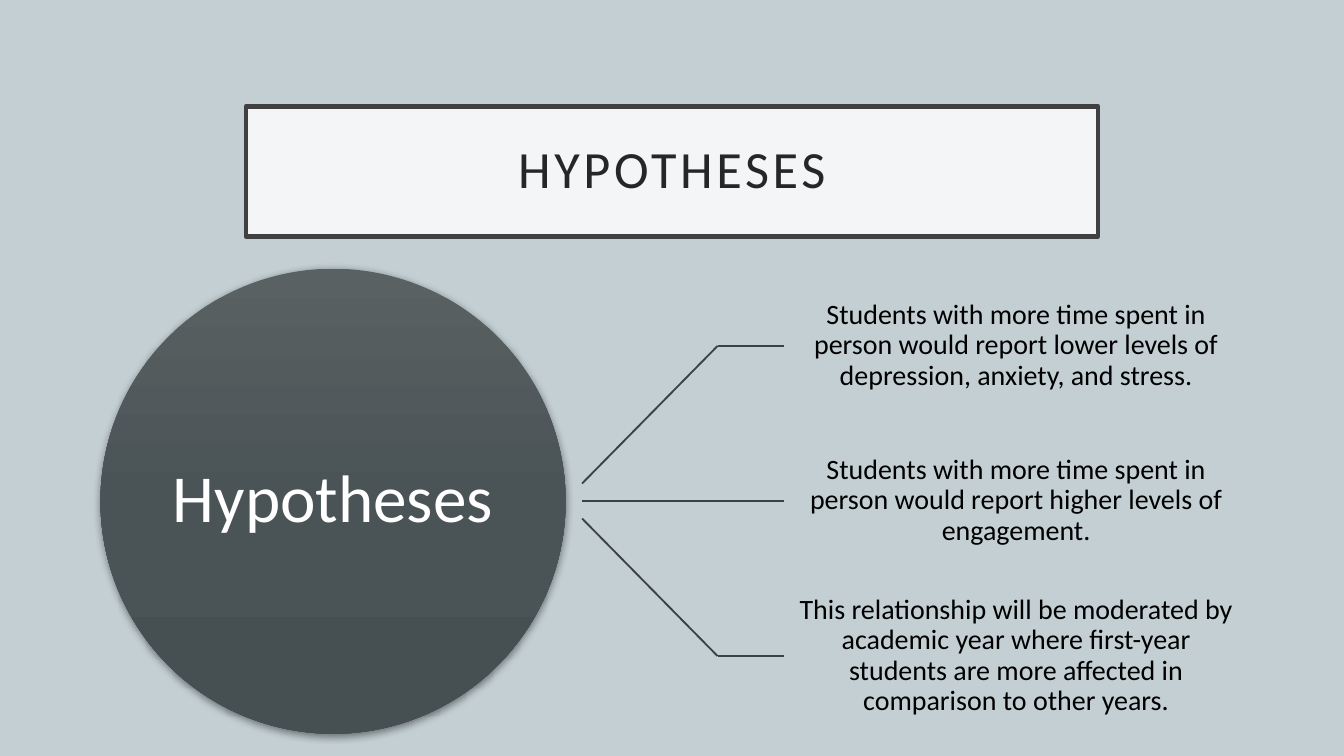
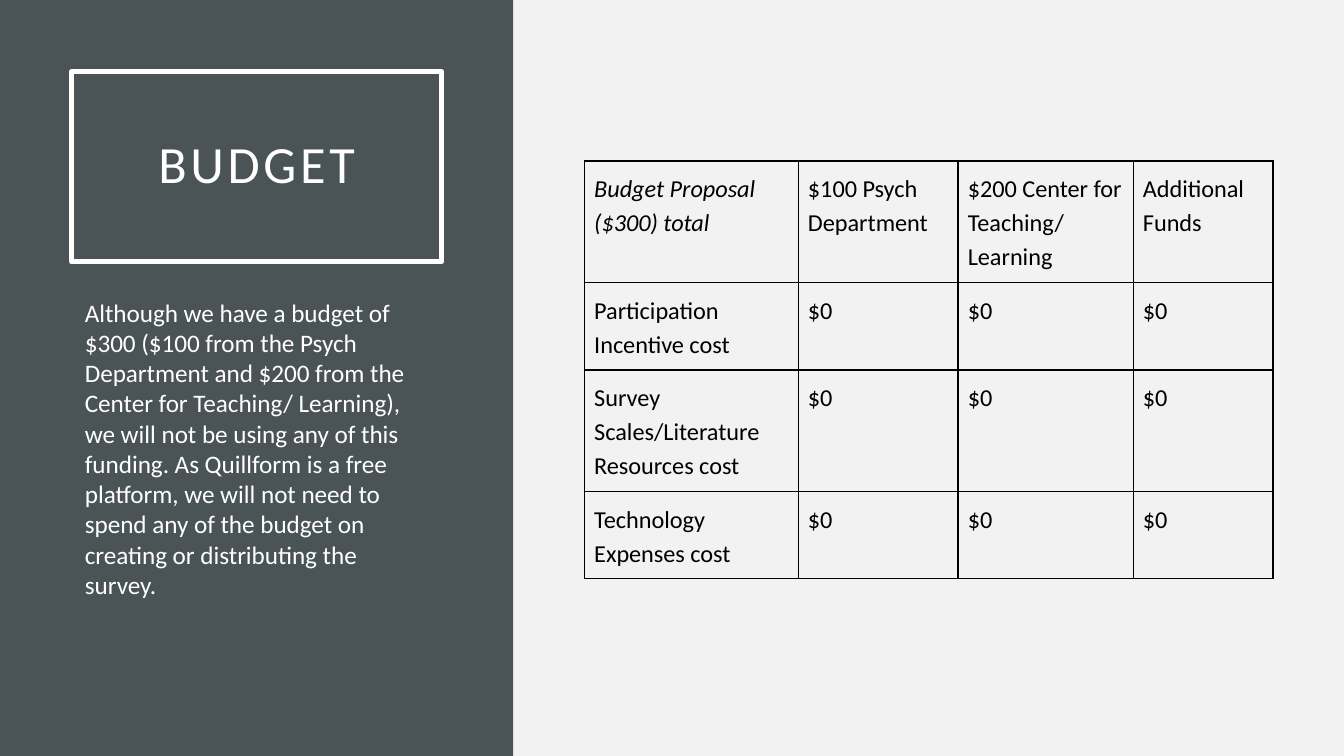
from copy import deepcopy

from lxml import etree
from pptx import Presentation
from pptx.dml.color import RGBColor
from pptx.enum.shapes import MSO_CONNECTOR, MSO_SHAPE
from pptx.enum.text import MSO_ANCHOR, MSO_AUTO_SIZE, PP_ALIGN
from pptx.oxml.ns import qn
from pptx.util import Cm, Pt

LEFT, CENTER = PP_ALIGN.LEFT, PP_ALIGN.CENTER
TOP, MIDDLE = MSO_ANCHOR.TOP, MSO_ANCHOR.MIDDLE
NO_FIT = MSO_AUTO_SIZE.NONE
OVAL, RECT = MSO_SHAPE.OVAL, MSO_SHAPE.RECTANGLE
STRAIGHT = MSO_CONNECTOR.STRAIGHT

FONT = "Calibri"
WHITE = RGBColor(0xFF, 0xFF, 0xFF)
BLACK = RGBColor(0x00, 0x00, 0x00)
INK = RGBColor(0x26, 0x26, 0x26)
FRAME = RGBColor(0x40, 0x40, 0x40)
BRANCH = RGBColor(0x3B, 0x42, 0x45)
SLATE = RGBColor(0x4A, 0x53, 0x56)
SLATE_LIGHT = RGBColor(0x5A, 0x61, 0x63)
SLATE_BLUE = RGBColor(0x46, 0x50, 0x53)
MIST = RGBColor(0xC3, 0xCF, 0xD3)
PALE = RGBColor(0xF2, 0xF2, 0xF2)


def write(tf, text, size, color, align=LEFT, anchor=TOP, inset=None,
          spacing=1.0, italic=False, tracking=0):
    """Fill a text frame with one formatted paragraph."""
    tf.word_wrap = True
    tf.vertical_anchor = anchor
    if inset is not None:
        tf.margin_left = tf.margin_right = Cm(inset)
        tf.margin_top = tf.margin_bottom = Cm(inset)
    p = tf.paragraphs[0]
    p.alignment = align
    p.line_spacing = spacing
    p.space_before = Pt(0)
    r = p.add_run()
    r.text = text
    r.font.name = FONT
    r.font.size = Pt(size)
    r.font.italic = italic
    r.font.color.rgb = color
    if tracking:
        r.font._element.set("spc", str(tracking * 100))


def add_titled_slide(layout, background, title, box, color, line):
    """Add a slide with a plain background and a framed title."""
    s = prs.slides.add_slide(prs.slide_layouts[layout])
    s.background.fill.solid()
    s.background.fill.fore_color.rgb = background
    sp = s.shapes.title
    sp.left, sp.top, sp.width, sp.height = [Cm(v) for v in box]
    sp.line.color.rgb = line
    sp.line.width = Pt(2.5)
    sp.text_frame.auto_size = NO_FIT
    write(sp.text_frame, title, 28, color, align=CENTER, anchor=MIDDLE,
          inset=0.5, spacing=0.9, tracking=2)
    return s


prs = Presentation()
prs.slide_width, prs.slide_height = Cm(25.4), Cm(14.29)

# Slide 1: hypotheses
s = add_titled_slide(5, MIST, "HYPOTHESES", (4.65, 2.01, 16.1, 2.46), INK, FRAME)
fill = s.shapes.title.fill
fill.solid()
fill.fore_color.rgb = WHITE
white = s.shapes.title._element.spPr.find(".//" + qn("a:solidFill"))[0]
etree.SubElement(white, qn("a:alpha"), val="80000")

# Circle with a three-stop gradient and a soft shadow
sp = s.shapes.add_shape(OVAL, Cm(1.9), Cm(5.08), Cm(8.79), Cm(8.79))
sp.line.fill.background()
sp.fill.gradient()
sp.fill.gradient_angle = 270
stops = sp._element.spPr.find(".//" + qn("a:gsLst"))
stops.insert(1, deepcopy(stops[0]))
for stop, position, color in zip(sp.fill.gradient_stops, (0, 0.5, 1),
                                 (SLATE_LIGHT, SLATE, SLATE_BLUE)):
    stop.position = position
    stop.color.rgb = color
effects = etree.SubElement(sp._element.spPr, qn("a:effectLst"))
shadow = etree.SubElement(effects, qn("a:outerShdw"), blurRad=str(Pt(4.4)),
                          dist=str(Pt(1.2)), dir="5400000", rotWithShape="0")
black = etree.SubElement(shadow, qn("a:srgbClr"), val=str(BLACK))
etree.SubElement(black, qn("a:alpha"), val="45000")
write(sp.text_frame, "Hypotheses", 36, WHITE, align=CENTER, anchor=MIDDLE,
      inset=0, spacing=0.9)

# Branches from the circle to each hypothesis
hypotheses = [
    "Students with more time spent in person would report lower levels of "
    "depression, anxiety, and stress.",
    "Students with more time spent in person would report higher levels of "
    "engagement.",
    "This relationship will be moderated by academic year where first-year "
    "students are more affected in comparison to other years.",
]
row_height, middle = 2.93, 9.47
for i, text in enumerate(hypotheses):
    y = middle + (i - 1) * row_height
    points = [(11, middle + (i - 1) * 0.33), (13.56, y), (14.81, y)]
    for (x1, y1), (x2, y2) in zip(points, points[1:]):
        line = s.shapes.add_connector(STRAIGHT, Cm(x1), Cm(y1), Cm(x2), Cm(y2))
        line.line.color.rgb = BRANCH
        line.line.width = Pt(1)
        etree.SubElement(line._element.spPr, qn("a:effectLst"))
    sp = s.shapes.add_textbox(Cm(14.81), Cm(y - row_height / 2),
                              Cm(8.79), Cm(row_height))
    write(sp.text_frame, text, 15, BLACK, align=CENTER, anchor=MIDDLE,
          inset=0.3, spacing=0.9)

# Slide 2: budget
s = add_titled_slide(1, PALE, "BUDGET", (1.35, 1.35, 7, 3.6), WHITE, WHITE)

# Side panel, placed behind the placeholders
sp = s.shapes.add_shape(RECT, 0, 0, Cm(9.7), prs.slide_height)
sp.shadow.inherit = False
sp.fill.solid()
sp.fill.fore_color.rgb = SLATE
sp.line.fill.background()
s.shapes._spTree.insert(2, sp._element)

# Explanation
sp = s.placeholders[1]
sp.left, sp.top, sp.width, sp.height = Cm(1.35), Cm(5.49), Cm(7), Cm(7.11)
sp.text_frame.auto_size = NO_FIT
write(sp.text_frame,
      "Although we have a budget of $300 ($100 from the Psych Department and "
      "$200 from the Center for Teaching/ Learning), we will not be using any "
      "of this funding. As Quillform is a free platform, we will not need to "
      "spend any of the budget on creating or distributing the survey.",
      13.5, WHITE)
pPr = sp.text_frame.paragraphs[0]._p.get_or_add_pPr()
pPr.set("marL", "0")
pPr.set("indent", "0")
etree.SubElement(pPr, qn("a:buNone"))

# Budget table
header = ["Budget Proposal ($300) total", "$100 Psych Department",
          "$200 Center for Teaching/ Learning", "Additional Funds"]
costs = ["Participation Incentive cost",
         "Survey Scales/Literature Resources cost",
         "Technology Expenses cost"]
rows = [header] + [[cost] + ["$0"] * 3 for cost in costs]
widths = [4.04, 3.02, 3.31, 2.64]
heights = [2.3, 1.65, 2.3, 1.65]
table = s.shapes.add_table(len(rows), len(widths), Cm(11.05), Cm(3.04),
                           Cm(sum(widths)), Cm(sum(heights))).table
table.first_row = table.horz_banding = False
for column, width in zip(table.columns, widths):
    column.width = Cm(width)
for i, (row, height) in enumerate(zip(rows, heights)):
    table.rows[i].height = Cm(height)
    for j, text in enumerate(row):
        cell = table.cell(i, j)
        cell.margin_left = cell.margin_right = Cm(0.18)
        cell.margin_top = cell.margin_bottom = Cm(0.18)
        cell.fill.background()
        write(cell.text_frame, text, 13, BLACK, spacing=1.15,
              italic=i == j == 0)
        tcPr = cell._tc.get_or_add_tcPr()
        for k, side in enumerate(("a:lnL", "a:lnR", "a:lnT", "a:lnB")):
            border = etree.Element(qn(side), w=str(Pt(1)))
            solid = etree.SubElement(border, qn("a:solidFill"))
            etree.SubElement(solid, qn("a:srgbClr"), val=str(BLACK))
            tcPr.insert(k, border)

prs.save("out.pptx")
